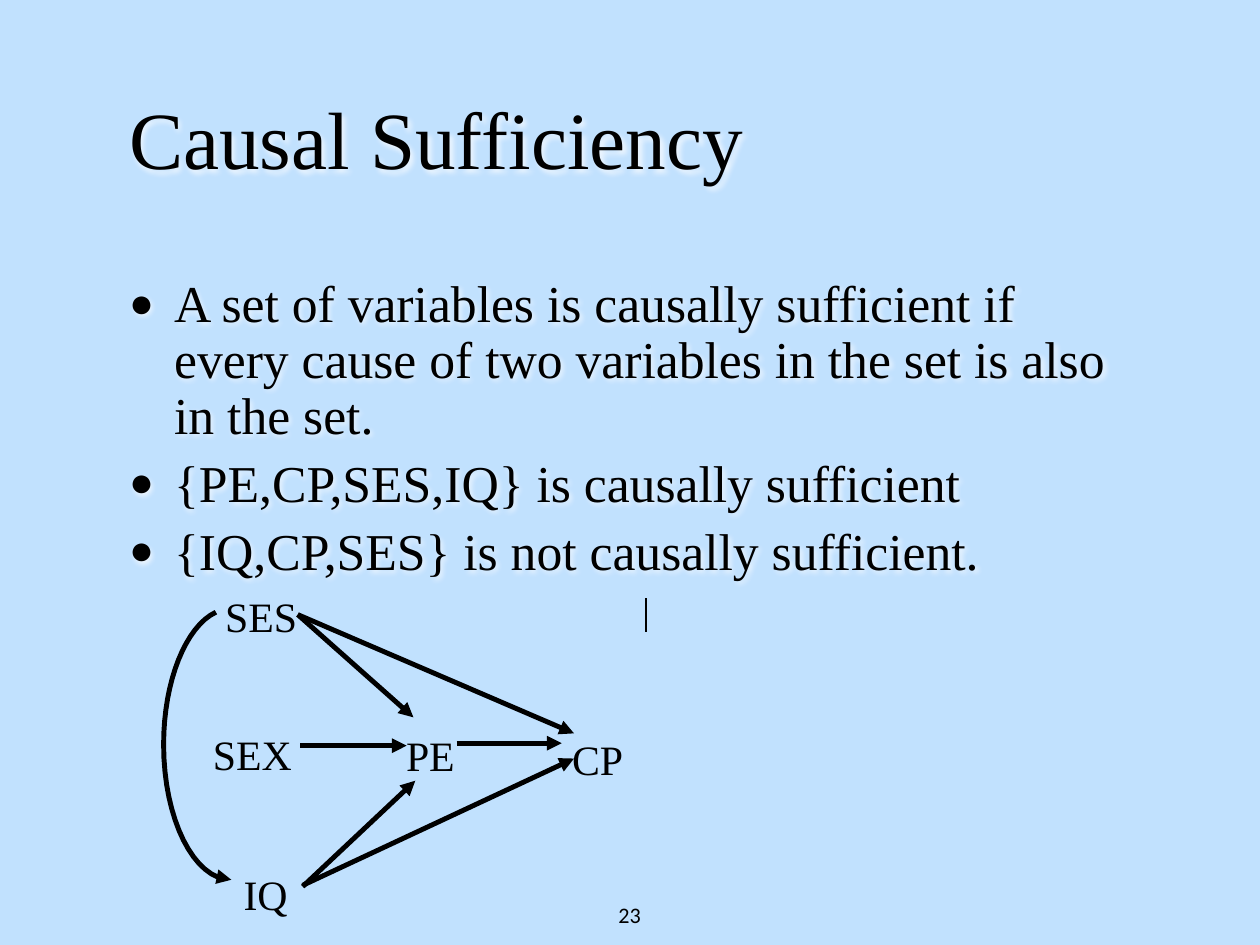
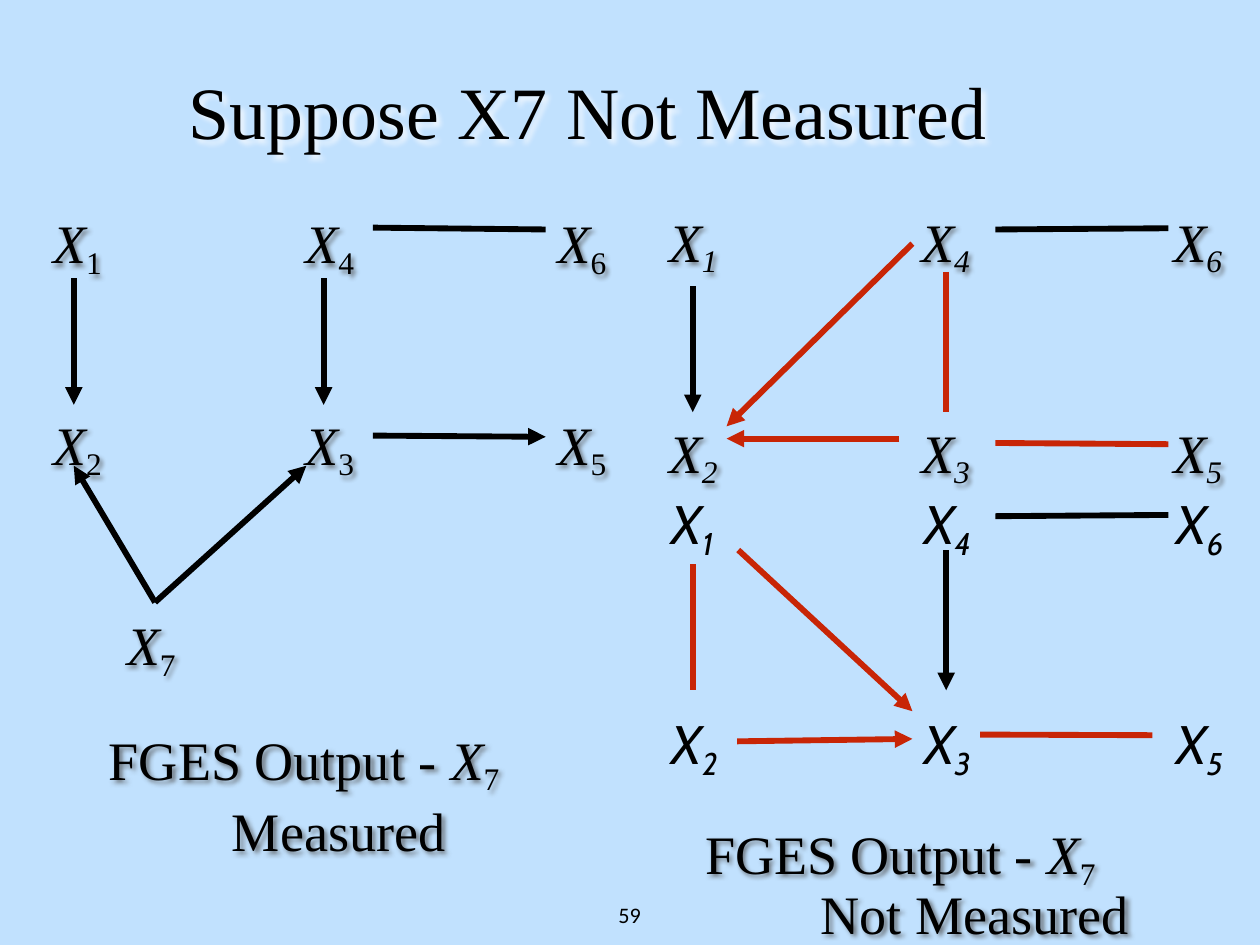
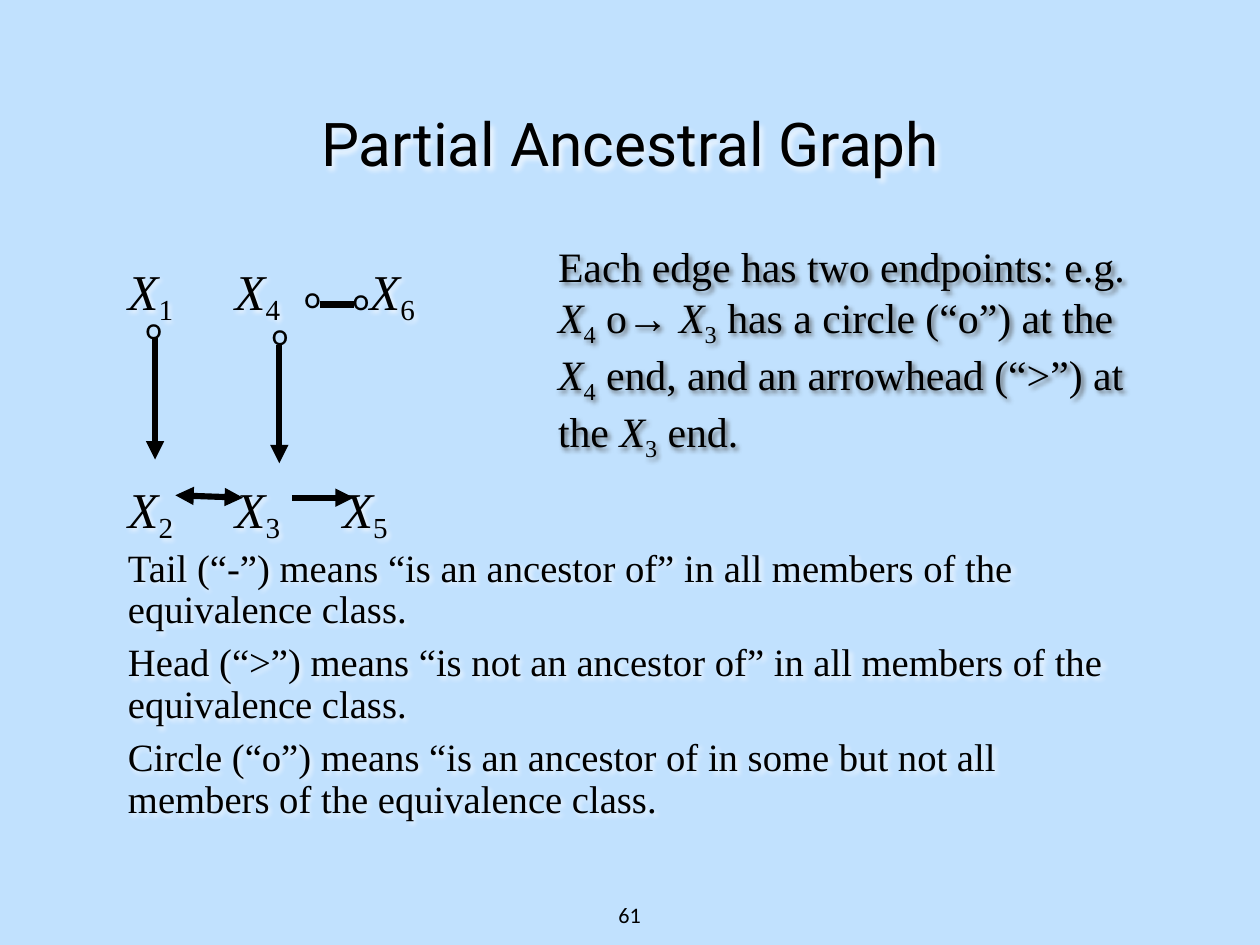
from lxml import etree
from pptx import Presentation
from pptx.dml.color import RGBColor
from pptx.enum.shapes import MSO_CONNECTOR
from pptx.enum.text import MSO_ANCHOR, MSO_AUTO_SIZE, PP_ALIGN
from pptx.oxml.ns import qn
from pptx.util import Pt

LEFT, CENTER = PP_ALIGN.LEFT, PP_ALIGN.CENTER
MIDDLE, TOP = MSO_ANCHOR.MIDDLE, MSO_ANCHOR.TOP
NO_AUTOFIT = MSO_AUTO_SIZE.NONE
STRAIGHT = MSO_CONNECTOR.STRAIGHT

COLORS = {
    "background": "C1E1FE",
    "ink": "000000",
    "changed": "C82506",
    "glow": "FFFFFF",
    "shade": "505050",
}
SERIF, SANS, TITLE_SANS, NUMBER_FONT = "Times New Roman", "Cabin", "Roboto", "Calibri"


def write(shape, texts, size, font=SERIF, shadow=None, inset=0, alignment=LEFT, anchor=TOP,
          spacing=1.0, before=0, bullet=False, wrap=True, italic_index=False, drop=-20):
    """Fill a shape with paragraphs; |X1| in a text is an italic X with a lowered index."""
    frame = shape.text_frame
    frame.auto_size = NO_AUTOFIT
    frame.word_wrap = wrap
    frame.vertical_anchor = anchor
    frame.margin_left = frame.margin_right = frame.margin_top = frame.margin_bottom = Pt(inset)
    for number, text in enumerate(texts):
        paragraph = frame.paragraphs[0] if number == 0 else frame.add_paragraph()
        properties = paragraph._p.get_or_add_pPr()
        indent = Pt(36.5) if bullet else 0
        properties.set("marL", str(indent))
        properties.set("indent", str(-indent))
        if bullet:
            etree.SubElement(properties, qn("a:buSzPct"), val="80000")
            etree.SubElement(properties, qn("a:buChar"), char="●")
        else:
            etree.SubElement(properties, qn("a:buNone"))
        paragraph.alignment = alignment
        paragraph.line_spacing = spacing
        paragraph.space_before = Pt(before if number else 0)
        pieces = []
        for position, part in enumerate(text.split("|")):
            if position % 2:
                pieces += [(part[0], True, 0), (part[1:], italic_index, drop)]
            elif part:
                pieces.append((part, False, 0))
        for piece, italic, baseline in pieces:
            run = paragraph.add_run()
            run.text = piece
            run.font.name = font
            run.font.size = Pt(size)
            run.font.italic = italic
            run.font.color.rgb = RGBColor.from_string(COLORS["ink"])
            if baseline:
                run.font._element.set("baseline", str(baseline * 1000))
    if shadow:
        effects = etree.SubElement(shape._element.spPr, qn("a:effectLst"))
        outer = etree.SubElement(effects, qn("a:outerShdw"), blurRad=str(Pt(4)),
                                 dist=str(Pt(3)), dir="2700000", algn="tl", rotWithShape="0")
        color = etree.SubElement(outer, qn("a:srgbClr"), val=COLORS[shadow])
        etree.SubElement(color, qn("a:alpha"), val="75000")


def draw_edge(slide, points, width, color="ink", ends=("tailEnd",)):
    """Draw a connector through two points, or an open outline through more."""
    if len(points) == 2:
        (x1, y1), (x2, y2) = points
        edge = slide.shapes.add_connector(STRAIGHT, Pt(x1), Pt(y1), Pt(x2), Pt(y2))
    else:
        corners = [(Pt(x), Pt(y)) for x, y in points]
        builder = slide.shapes.build_freeform(*corners[0])
        builder.add_line_segments(corners[1:], close=False)
        edge = builder.convert_to_shape()
        edge.fill.background()
    edge.line.color.rgb = RGBColor.from_string(COLORS[color])
    edge.line.width = Pt(width)
    for end in ends:
        etree.SubElement(edge.line._ln, qn("a:" + end), type="triangle")
    etree.SubElement(edge._element.spPr, qn("a:effectLst"))


presentation = Presentation()
presentation.slide_width, presentation.slide_height = Pt(1024), Pt(768)
background = presentation.slide_master.background.fill
background.solid()
background.fore_color.rgb = RGBColor.from_string(COLORS["background"])
title_and_body, title_only = presentation.slide_layouts[1], presentation.slide_layouts[5]

# Titles and slide numbers: layout, title, left, top, size, font, alignment, spacing, number
slides = []
for layout, title, left, top, size, font, alignment, spacing, number in (
    (title_and_body, "Causal Sufficiency", 100, 20, 66, SERIF, LEFT, 0.9, "23"),
    (title_only, "Suppose X7 Not Measured", 65.5, -6.5, 60, SERIF, CENTER, 1.0, "59"),
    (title_and_body, "Partial Ancestral Graph", 100, 20, 49, TITLE_SANS, CENTER, 1.0, "61"),
):
    slide = presentation.slides.add_slide(layout)
    shape = slide.shapes.title
    shape.left, shape.top, shape.width, shape.height = Pt(left), Pt(top), Pt(824), Pt(192)
    write(shape, [title], size, font, "glow", inset=5, alignment=alignment, anchor=MIDDLE,
          spacing=spacing)
    number_box = slide.shapes.add_textbox(Pt(498), Pt(728.6), Pt(27.4), Pt(29))
    write(number_box, [number], 18, NUMBER_FONT, inset=4, alignment=CENTER, wrap=False)
    slides.append(slide)
sufficiency, unmeasured, ancestral = slides

# Causal sufficiency
body = sufficiency.placeholders[1]
body.left, body.top, body.width, body.height = Pt(100), Pt(221), Pt(824), Pt(450)
write(body, [
    "A set of variables is causally sufficient if every cause of two variables in the set "
    "is also in the set.",
    "{PE,CP,SES,IQ} is causally sufficient",
    "{IQ,CP,SES} is not causally sufficient.",
], 42, shadow="glow", inset=5, spacing=0.9, before=10, bullet=True)

for name, left, top in (("SES", 183, 480), ("SEX", 173, 592), ("PE", 330, 593),
                        ("CP", 465, 596), ("IQ", 198, 706)):
    write(sufficiency.shapes.add_textbox(Pt(left), Pt(top), Pt(75), Pt(42)), [name], 34)

for points in (
    ((242, 499.5), (336, 583)),
    ((242, 499.5), (466.5, 596)),
    ((246, 720.5), (337.5, 634.5)),
    ((246, 719.5), (466.5, 616.5)),
    ((371, 604), (456.5, 604)),
    ((244, 606), (330.5, 606)),
):
    draw_edge(sufficiency, points, 4)
draw_edge(sufficiency, ((525, 486), (525, 513.5)), 1, ends=())

curve = []
for bezier in (
    ((175.5, 497.5), (151, 509), (133, 553.5), (133, 605)),
    ((133, 605), (133, 665.5), (157.5, 715), (188, 715)),
):
    for step in range(17):
        t = step / 16
        weights = ((1 - t) ** 3, 3 * t * (1 - t) ** 2, 3 * t ** 2 * (1 - t), t ** 3)
        point = tuple(round(sum(w * p[axis] for w, p in zip(weights, bezier)), 2)
                      for axis in (0, 1))
        if point not in curve:
            curve.append(point)
draw_edge(sufficiency, curve, 4)

# X7 not measured: three graphs, columns 205 points apart
for left, row_tops, font, shadow, italic_index in (
    (43, (170.5, 334), SERIF, "shade", False),
    (543.5, (169, 340.5), SERIF, "shade", True),
    (546, (398.5, 577.5), SANS, None, True),
):
    for top, row in zip(row_tops, (("X1", "X4", "X6"), ("X2", "X3", "X5"))):
        for column, name in enumerate(row):
            label = unmeasured.shapes.add_textbox(
                Pt(left + 205 * column), Pt(top), Pt(60), Pt(56))
            write(label, [f"|{name}|"], 44, font, shadow, italic_index=italic_index)
write(unmeasured.shapes.add_textbox(Pt(103), Pt(497), Pt(60), Pt(56)), ["|X7|"], 44,
      shadow="shade")

for left, top, second_line, indent, spacing in (
    (88.5, 590, "Measured", 100, 1.0),
    (573, 669, "Not Measured", 94, 0.9),
):
    caption = unmeasured.shapes.add_textbox(Pt(left), Pt(top), Pt(400), Pt(110))
    write(caption, ["FGES Output - |X7|", second_line], 44, shadow="shade", spacing=spacing)
    caption.text_frame.paragraphs[1]._p.pPr.set("marL", str(Pt(indent)))

for color, ends, edges in (
    ("ink", ("tailEnd",), (
        ((126, 489.5), (60, 378.5)), ((303, 354), (443.5, 355)), ((126, 489.5), (249, 378.5)),
        ((563, 232.5), (563, 335)), ((60, 226), (60, 329)), ((263, 226), (263, 329)),
        ((769, 447), (769, 561)))),
    ("ink", (), (
        ((809, 186.5), (949.5, 185.5)), ((303, 185), (443.5, 186.5)),
        ((809, 419.5), (949.5, 418.5)))),
    ("changed", ("tailEnd",), (
        ((731, 356.5), (590.5, 356.5)), ((741.5, 198), (590.5, 346.5)),
        ((599, 602.5), (741.5, 600.5)), ((600, 447), (741.5, 578)))),
    ("changed", (), (
        ((769, 221), (769, 335)), ((809, 360), (949.5, 361)),
        ((563, 458.5), (563, 561)), ((796.5, 597), (936.5, 597.5)))),
):
    for points in edges:
        draw_edge(unmeasured, points, 4.75, color, ends)

# Partial ancestral graph
body = ancestral.placeholders[1]
body.left, body.top, body.width, body.height = Pt(100), Pt(442), Pt(824), Pt(230)
write(body, [
    "Tail (“-”) means “is an ancestor of” in all members of the equivalence class.",
    "Head (“>”) means “is not an ancestor of” in all members of the equivalence class.",
    "Circle (“o”) means “is an ancestor of in some but not all members of the equivalence class.",
], 31.4, shadow="glow", inset=4, spacing=0.9, before=9)

for top, row in (
    (211.5, (("X1", 104), ("X4", 191), ("X6", 300.5))),
    (388.5, (("X2", 104), ("X3", 191), ("X5", 278.5))),
):
    for name, left in row:
        label = ancestral.shapes.add_textbox(Pt(left), Pt(top), Pt(56), Pt(52))
        write(label, [f"|{name}|"], 40.7, shadow="glow")

for center_x, center_y in ((254, 244), (293.5, 245.5), (125, 269), (227.5, 274)):
    circle = ancestral.shapes.add_textbox(Pt(center_x - 10), Pt(center_y - 17), Pt(20), Pt(30))
    write(circle, ["o"], 24, SANS, alignment=CENTER)

for points, ends in (
    (((126, 275), (126, 373.5)), ("tailEnd",)),
    (((227, 280), (227, 376.5)), ("tailEnd",)),
    (((237.5, 404.5), (287.5, 404.5)), ("tailEnd",)),
    (((260, 247.5), (287.5, 247.5)), ()),
    (((142.5, 402.5), (197.5, 404.5)), ("headEnd", "tailEnd")),
):
    draw_edge(ancestral, points, 5, ends=ends)

explanation = ancestral.shapes.add_textbox(Pt(448.5), Pt(191), Pt(492), Pt(175))
write(explanation, [
    "Each edge has two endpoints: e.g. |X4| o→ |X3| has a circle (“o”) at the |X4| end, "
    "and an arrowhead (“>”) at the |X3| end.",
], 34, shadow="shade", inset=5, drop=-25)

presentation.save("out.pptx")
